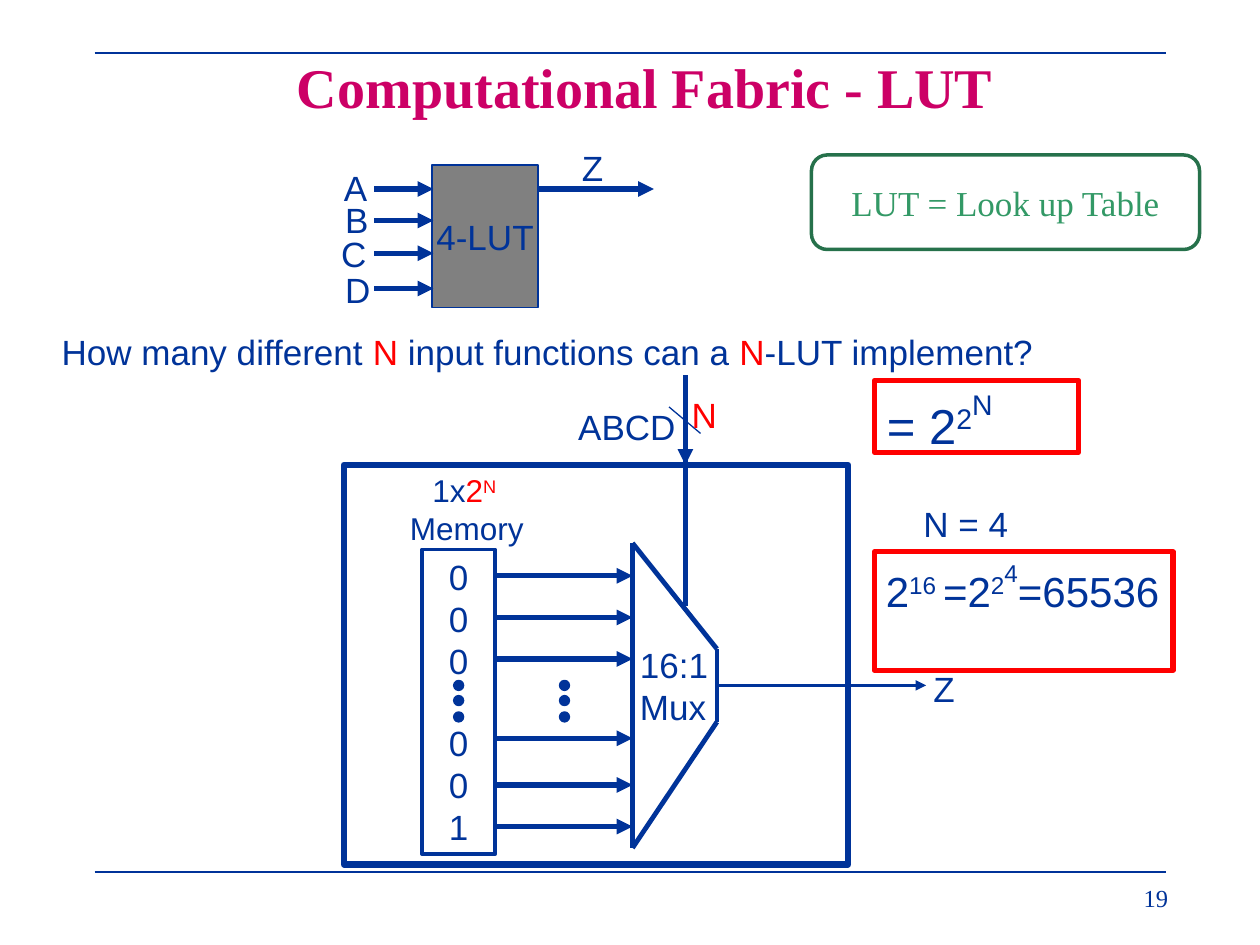
from lxml import etree
from pptx import Presentation
from pptx import util as u
from pptx.dml.color import RGBColor
from pptx.enum import shapes, text
from pptx.oxml.ns import qn

PX = 9144
NAVY = RGBColor(0x00, 0x33, 0x99)
RED = RGBColor(0xFF, 0x00, 0x00)
MAGENTA = RGBColor(0xCC, 0x00, 0x66)
GREY = RGBColor(0x80, 0x80, 0x80)
GREEN = RGBColor(0x33, 0x99, 0x66)
DARK_GREEN = RGBColor(0x26, 0x71, 0x4B)
SANS, SERIF = "Arial", "Times New Roman"
LEFT, CENTER, RIGHT = text.PP_ALIGN.LEFT, text.PP_ALIGN.CENTER, text.PP_ALIGN.RIGHT
TOP, MIDDLE = text.MSO_ANCHOR.TOP, text.MSO_ANCHOR.MIDDLE
GROW = text.MSO_AUTO_SIZE.SHAPE_TO_FIT_TEXT
LABEL = {"word_wrap": False, "auto_size": GROW}
RECTANGLE = shapes.MSO_SHAPE.RECTANGLE
ROUNDED = shapes.MSO_SHAPE.ROUNDED_RECTANGLE
OVAL = shapes.MSO_SHAPE.OVAL

presentation = Presentation()
presentation.slide_width = 1000 * PX
presentation.slide_height = 750 * PX
slide = presentation.slides.add_slide(presentation.slide_layouts[6])


def add_box(kind, box, line, width, fill=None):
    shape = slide.shapes.add_shape(kind, *[value * PX for value in box])
    shape.shadow.inherit = False
    shape.line.color.rgb = line
    shape.line.width = u.Pt(width)
    if fill is None:
        shape.fill.background()
    else:
        shape.fill.solid()
        shape.fill.fore_color.rgb = fill
    return shape


def write(shape, paragraphs, size=20, face=SANS, align=LEFT, bold=False, **layout):
    frame = shape.text_frame
    for name, value in {"word_wrap": True, "vertical_anchor": TOP, **layout}.items():
        setattr(frame, name, value)
    for index, runs in enumerate(paragraphs):
        paragraph = frame.add_paragraph() if index else frame.paragraphs[0]
        paragraph.alignment = align
        for words, color, baseline in runs:
            run = paragraph.add_run()
            run.text = words
            for name, value in {"name": face, "size": u.Pt(size), "bold": bold}.items():
                setattr(run.font, name, value)
            run.font.color.rgb = color
            if baseline:
                run.font._element.set("baseline", str(baseline * 1000))


lut = add_box(RECTANGLE, (343, 131, 84, 113), NAVY, 0.75, GREY)
write(lut, [[("4-LUT", NAVY, 0)]], align=CENTER, vertical_anchor=MIDDLE, word_wrap=False)

definition = add_box(ROUNDED, (644, 123, 308, 75), DARK_GREEN, 2)
write(definition, [[("LUT = Look up Table", GREEN, 0)]], face=SERIF, align=CENTER,
      vertical_anchor=MIDDLE)

add_box(RECTANGLE, (273, 369, 400, 317), NAVY, 3.75)

memory = add_box(RECTANGLE, (335, 436, 58, 242), NAVY, 2)
write(memory, [[(bit, NAVY, 0)] for bit in "000001"], align=CENTER)
memory.text_frame.paragraphs[3].space_before = u.Pt(23)

for left in (360, 444):
    for top in (540, 552, 565):
        add_box(OVAL, (left, top, 8, 8), NAVY, 0.75, NAVY)

example = add_box(RECTANGLE, (694, 438, 237, 94), RED, 3)
write(example, [[("2", NAVY, 0), ("16 ", NAVY, 30), ("=2", NAVY, 0), ("2", NAVY, 30),
                 ("4", NAVY, 60), ("=65536", NAVY, 0)]], size=24,
      margin_left=9 * PX, margin_right=0)

answer = add_box(RECTANGLE, (694, 302, 162, 57), RED, 3)
write(answer, [[("= 2", NAVY, 0), ("2", NAVY, 30), ("N", NAVY, 60)]], size=28, auto_size=GROW)

lines = [((75, y, 925, y), 0.75, False) for y in (42, 692)]
lines += [((297, y, 344, y), 3, True) for y in (150, 175, 201, 229)]
lines += [((393, y, 502, y), 3, True) for y in (457, 490, 523, 586, 623, 656)]
mux = [(502, 431), (569, 515), (569, 573), (502, 673)]
lines += [((*start, *end), 2.75, False) for start, end in zip(mux, mux[1:] + mux[:1])]
lines += [
    ((427, 150, 519, 150), 3, True),
    ((544, 298, 544, 369), 3, True),
    ((544, 365, 544, 481), 3, False),
    ((531, 323, 556, 344), 0.75, False),
    ((569, 544, 677, 544), 1.25, False),
    ((673, 544, 735, 544), 1.25, True),
]
for ends, width, arrow in lines:
    connector = slide.shapes.add_connector(
        shapes.MSO_CONNECTOR.STRAIGHT, *[value * PX for value in ends])
    connector.line.color.rgb = NAVY
    connector.line.width = u.Pt(width)
    properties = connector._element.spPr
    if arrow:
        etree.SubElement(properties.get_or_add_ln(), qn("a:tailEnd"), type="triangle")
    etree.SubElement(properties, qn("a:effectLst"))

labels = [
    ((87, 6, 850, 125), [[("Computational Fabric - LUT", MAGENTA, 0)]],
     {"size": 32, "face": SERIF, "align": CENTER, "bold": True, "vertical_anchor": MIDDLE,
      "margin_left": 30 * PX, "margin_right": 30 * PX}),
    ((452, 111, 37, 43), [[("Z", NAVY, 0)]], LABEL),
    ((263, 127, 39, 44), [[("A", NAVY, 0)]], LABEL),
    ((264, 153, 39, 43), [[("B", NAVY, 0)]], LABEL),
    ((261, 180, 40, 43), [[("C", NAVY, 0)]], LABEL),
    ((264, 208, 40, 43), [[("D", NAVY, 0)]], LABEL),
    ((39, 257, 792, 44),
     [[("How many different ", NAVY, 0), ("N", RED, 0), (" input functions can a ", NAVY, 0),
       ("N", RED, 0), ("-LUT implement?", NAVY, 0)]], LABEL),
    ((315, 369, 111, 71),
     [[("1x", NAVY, 0), ("2", RED, 0), ("N ", RED, 30)], [("Memory", NAVY, 0)]],
     {**LABEL, "size": 18, "align": CENTER}),
    ((498, 506, 75, 77), [[("16:1", NAVY, 0)], [("Mux", NAVY, 0)]], LABEL),
    ((539, 307, 41, 44), [[("N", RED, 0)]], LABEL),
    ((449, 317, 98, 44), [[("ABCD", NAVY, 0)]], LABEL),
    ((731, 525, 37, 44), [[("Z", NAVY, 0)]], LABEL),
    ((723, 394, 88, 44), [[("N = 4", NAVY, 0)]], LABEL),
    ((729, 696, 208, 39), [[("19", NAVY, 0)]], {"size": 14, "face": SERIF, "align": RIGHT}),
]
for box, paragraphs, style in labels:
    write(slide.shapes.add_textbox(*[value * PX for value in box]), paragraphs, **style)

presentation.save("out.pptx")
